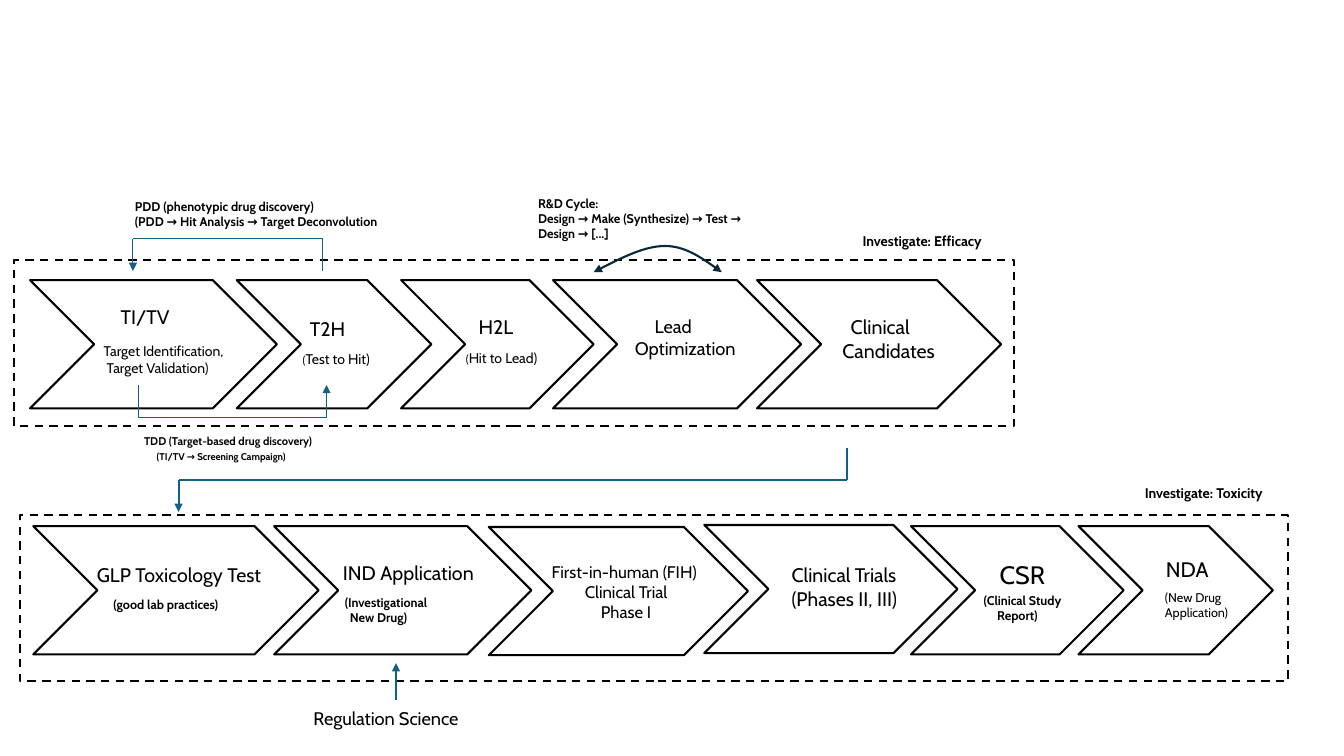
from dataclasses import dataclass

from lxml import etree
from pptx import Presentation
from pptx.dml.color import RGBColor
from pptx.enum import dml, shapes, text
from pptx.oxml.ns import qn
from pptx.util import Cm, Pt


@dataclass(frozen=True)
class Theme:
    font: str = "Cabin"
    ink: str = "000000"
    flow: str = "156082"
    cycle: str = "092A39"
    csr: int = 18
    nda: int = 15
    title: int = 14
    label: int = 13
    trial: int = 12
    body: int = 10
    note: int = 9
    small: int = 8
    tiny: int = 7
    thick: float = 1.5
    thin: float = 0.75


@dataclass(frozen=True)
class Line:
    """One paragraph; indent is in cm, before in points, opening a smaller first run."""
    text: str
    size: int
    bold: bool = False
    indent: float = 0
    before: float = 0
    opening: str = ""


T = Theme()
STEP_HEIGHT = 3.23

# left, top, width of each chevron
STEPS = [
    (0.76, 7.06, 6.22), (5.97, 7.06, 4.9), (10.11, 7.06, 4.85),
    (13.94, 7.06, 6.25), (19.08, 7.06, 6.15),
    (0.84, 13.26, 7.19), (6.91, 13.26, 6.48), (12.32, 13.28, 6.53),
    (17.75, 13.23, 6.38), (22.96, 13.26, 5.36), (27.18, 13.26, 4.9),
]

# left, top, width, height of each text, with its lines
STEP_TEXTS = [
    ((2.36, 7.57, 4.09, 2.06), [
        Line("TI/TV", T.title, indent=0.43),
        Line("Target Identification,", T.body, before=9.7),
        Line("Target Validation)", T.body, indent=0.08)]),
    ((7.01, 7.85, 4.09, 1.55), [
        Line("T2H", T.title, indent=0.55),
        Line("Test to Hit)", T.body, indent=0.37, before=7.3, opening="(")]),
    ((11.25, 7.82, 4.09, 1.55), [
        Line("H2L", T.title, indent=0.56),
        Line("Hit to Lead)", T.body, indent=0.24, before=7.3, opening="(")]),
    ((15.75, 7.82, 4.09, 1.93), [Line("Lead Optimization", T.label, indent=0.5)]),
    ((20.98, 7.82, 4.09, 1.7), [
        Line("Clinical", T.title, indent=0.21), Line("Candidates", T.title)]),
    ((1.85, 14.07, 5.89, 1.5), [
        Line("GLP Toxicology Test", T.title, indent=0.34),
        Line("(good lab practices)", T.note, True, 0.76, 7.3)]),
    ((8.08, 14.02, 5.89, 1.88), [
        Line("IND Application", T.title, indent=0.31),
        Line("(Investigational", T.note, True, 0.36, 7.3),
        Line("New Drug)", T.note, True, 0.49)]),
    ((19.25, 14.07, 4.65, 2.06), [
        Line("Clinical Trials", T.title, indent=0.45),
        Line("(Phases II, III)", T.title, indent=0.45)]),
    ((24.94, 13.97, 4.24, 1.02), [Line("CSR", T.csr)]),
    ((24.54, 14.81, 4.45, 1.02), [
        Line("(Clinical Study", T.note, True), Line("Report)", T.note, True, 0.34)]),
    ((29.13, 13.89, 3.89, 0.89), [Line("NDA", T.nda)]),
    ((29.11, 14.73, 4.06, 1.02), [
        Line("(New Drug", T.note), Line("Application)", T.note)]),
]
FIRST_IN_HUMAN = [
    Line("First-in-human (FIH)", T.trial, indent=0.18),
    Line("Clinical Trial", T.trial, indent=0.27),
    Line("Phase I", T.trial, indent=0.27),
]
ANNOTATIONS = [
    ((21.49, 5.74, 4.55, 0.69), [Line("Investigate: Efficacy", T.body, True)]),
    ((28.6, 12.09, 4.65, 0.69), [Line("Investigate: Toxicity", T.body, True)]),
    ((7.65, 17.7, 8.28, 0.81), [Line("Regulation Science", T.label)]),
    ((3.15, 4.88, 8.64, 1.02), [
        Line("PDD (phenotypic drug discovery)", T.note, True),
        Line("(PDD → Hit Analysis → Target Deconvolution", T.note, True)]),
    ((3.38, 10.82, 6.48, 0.99), [
        Line("TDD (Target-based drug discovery)", T.small, True),
        Line("(TI/TV → Screening Campaign)", T.tiny, True, 0.32, 2.4)]),
    ((13.31, 4.8, 6.58, 1.42), [
        Line("R&D Cycle:", T.note, True),
        Line("Design → Make (Synthesize) → Test → Design → [...]", T.note, True)]),
]

# corner points and line width of each arrow
ARROWS = [
    ([(21.34, 11.28), (21.34, 12.09), (4.5, 12.09), (4.5, 12.9)], T.thick),
    ([(8.13, 6.83), (8.13, 6.02), (3.35, 6.02), (3.35, 6.83)], T.thin),
    ([(3.48, 9.7), (3.48, 10.52), (8.23, 10.52), (8.23, 9.7)], T.thin),
    ([(9.98, 17.63), (9.98, 16.71)], T.thick),
]
CYCLE_CURVES = [
    [(14.96, 6.86), (15.6, 6.53), (16.21, 6.2), (16.76, 6.2)],
    [(16.76, 6.2), (17.3, 6.2), (17.73, 6.53), (18.19, 6.86)],
]


def set_line(shape, color, width):
    shape.line.color.rgb = RGBColor.from_string(color)
    shape.line.width = Pt(width)


def add_arrowheads(shape, *ends):
    ln = shape.line._get_or_add_ln()
    for end in ends:
        etree.SubElement(ln, qn("a:" + end), type="triangle")


def add_outline(s, kind, left, top, width, height):
    sp = s.shapes.add_shape(kind, Cm(left), Cm(top), Cm(width), Cm(height))
    sp.shadow.inherit = False
    sp.fill.background()
    set_line(sp, T.ink, T.thick)
    return sp


def add_text(s, box, lines, align=text.PP_ALIGN.LEFT):
    tf = s.shapes.add_textbox(*map(Cm, box)).text_frame
    tf.word_wrap = True
    for i, line in enumerate(lines):
        p = tf.add_paragraph() if i else tf.paragraphs[0]
        p.alignment = align
        if line.indent:
            p._p.get_or_add_pPr().set("indent", str(Cm(line.indent)))
        if line.before:
            p.space_before = Pt(line.before)
        for words, size in ((line.opening, T.small), (line.text, line.size)):
            if words:
                r = p.add_run()
                r.text = words
                r.font.name = T.font
                r.font.size = Pt(size)
                r.font.bold = line.bold
                r.font.color.rgb = RGBColor.from_string(T.ink)


def add_arrow(s, points, width):
    """Join the points with straight lines; the last one gets the arrowhead."""
    for start, end in zip(points, points[1:]):
        line = s.shapes.add_connector(
            shapes.MSO_CONNECTOR.STRAIGHT, *map(Cm, start + end))
        set_line(line, T.flow, width)
        etree.SubElement(line._element.spPr, qn("a:effectLst"))
    add_arrowheads(line, "tailEnd")


def bezier(controls, t):
    weights = ((1 - t) ** 3, 3 * t * (1 - t) ** 2, 3 * t * t * (1 - t), t ** 3)
    return tuple(Cm(sum(w * v for w, v in zip(weights, axis)))
                 for axis in zip(*controls))


def add_cycle_arrow(s, curves, steps=16):
    start, *rest = [bezier(c, i / steps) for c in curves for i in range(steps + 1)]
    builder = s.shapes.build_freeform(*start)
    builder.add_line_segments(rest, close=False)
    sp = builder.convert_to_shape()
    sp.shadow.inherit = False
    sp.fill.background()
    set_line(sp, T.cycle, T.thick)
    add_arrowheads(sp, "headEnd", "tailEnd")


def main():
    prs = Presentation()
    prs.slide_width, prs.slide_height = Cm(33.87), Cm(19.05)
    s = prs.slides.add_slide(prs.slide_layouts[6])

    for frame in ((0.51, 12.98, 31.95, 4.19), (0.36, 6.55, 25.2, 4.19)):
        sp = add_outline(s, shapes.MSO_SHAPE.RECTANGLE, *frame)
        sp.line.dash_style = dml.MSO_LINE.DASH
    for step in STEPS:
        add_outline(s, shapes.MSO_SHAPE.CHEVRON, *step, STEP_HEIGHT)
    for box, lines in STEP_TEXTS + ANNOTATIONS:
        add_text(s, box, lines)
    add_text(s, (12.7, 14.02, 5.89, 2.39), FIRST_IN_HUMAN, text.PP_ALIGN.CENTER)
    for points, width in ARROWS:
        add_arrow(s, points, width)
    add_cycle_arrow(s, CYCLE_CURVES)

    prs.save("out.pptx")


if __name__ == "__main__":
    main()
